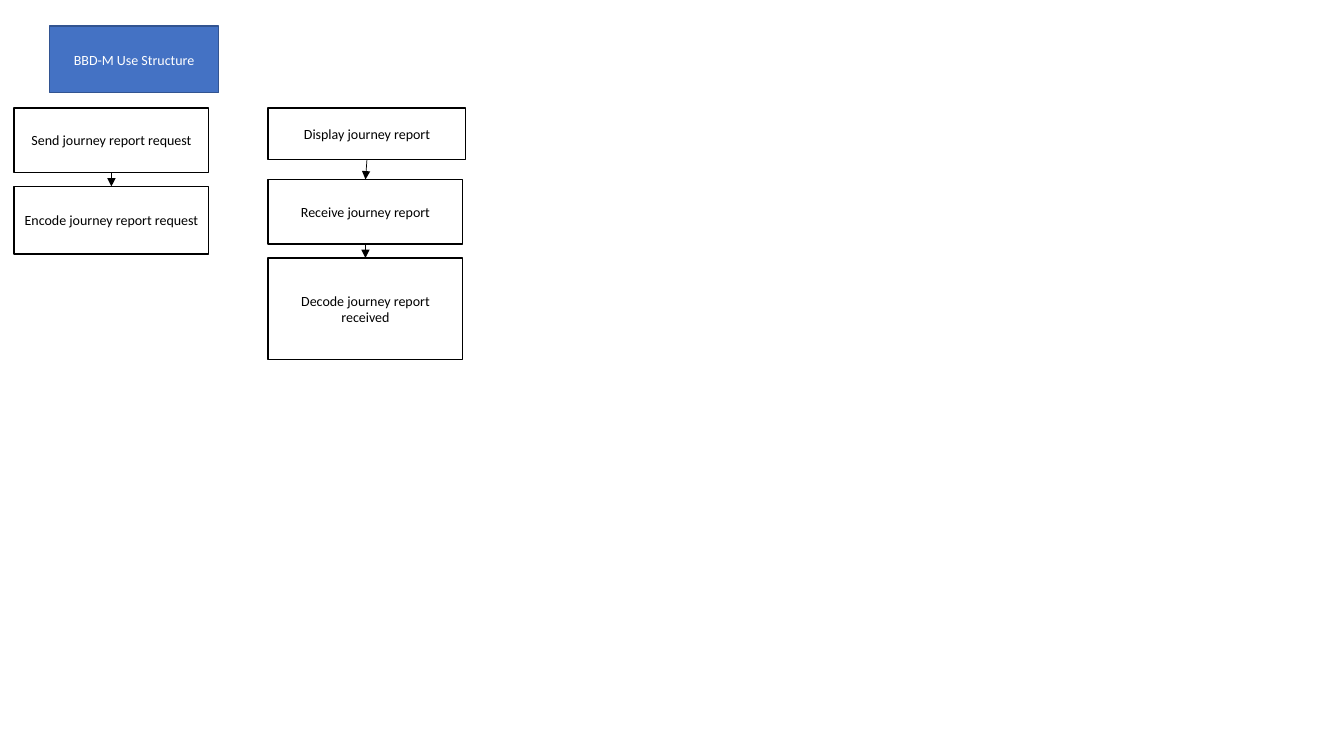
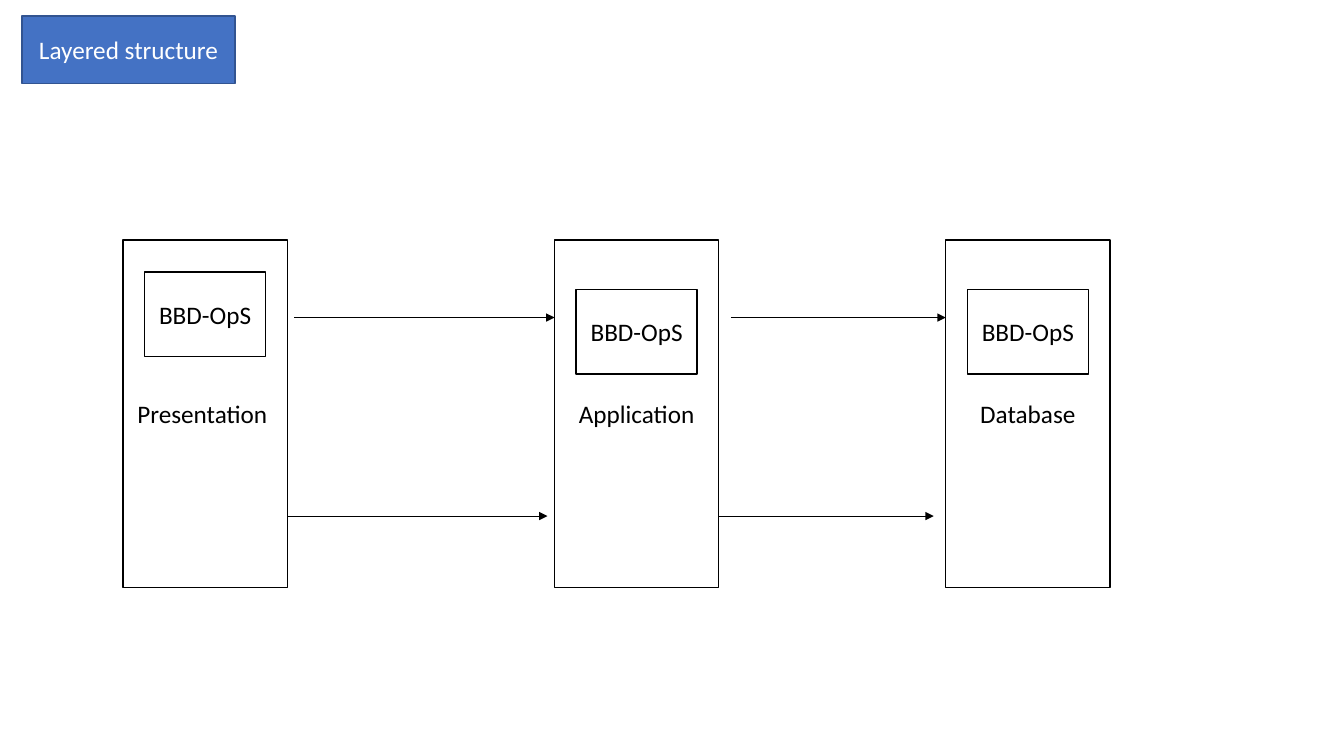
from dataclasses import dataclass
from lxml.etree import SubElement
from pptx import Presentation
from pptx.dml.color import RGBColor as RGB
from pptx.enum.shapes import MSO_CONNECTOR as LINE, MSO_SHAPE as SHAPE
from pptx.enum.text import MSO_ANCHOR as ANCHOR, PP_ALIGN as ALIGN
from pptx.oxml.ns import qn
from pptx.util import Inches, Pt


@dataclass(frozen=True)
class Theme:
    """Colours, font and sizes shared by both slides."""
    font: str = "Calibri"
    small: int = 10
    large: int = 18
    border: float = 1
    arrow: float = 0.5
    # each style is fill, line, text
    title: tuple = ("4472C4", "325491", "FFFFFF")
    plain: tuple = ("FFFFFF", "000000", "000000")


T = Theme()


def box(s, text, left, top, width, height, size, style=T.plain):
    """Draw a bordered rectangle with centred text."""
    sp = s.shapes.add_shape(SHAPE.RECTANGLE, *map(Inches, (left, top, width, height)))
    fill, line, ink = map(RGB.from_string, style)
    sp.shadow.inherit = False
    sp.fill.solid()
    sp.fill.fore_color.rgb = fill
    sp.line.color.rgb = line
    sp.line.width = Pt(T.border)
    tf = sp.text_frame
    frame = {"word_wrap": True, "vertical_anchor": ANCHOR.MIDDLE,
             "margin_left": Inches(0.08), "margin_right": Inches(0.08)}
    for name, value in frame.items():
        setattr(tf, name, value)
    p = tf.paragraphs[0]
    p.alignment = ALIGN.CENTER
    r = p.add_run()
    r.text = text
    for name, value in {"name": T.font, "size": Pt(size)}.items():
        setattr(r.font, name, value)
    r.font.color.rgb = ink


def arrow(s, x1, y1, x2, y2):
    """Draw a thin straight arrow pointing at (x2, y2)."""
    c = s.shapes.add_connector(LINE.STRAIGHT, *map(Inches, (x1, y1, x2, y2)))
    c.line.color.rgb = RGB.from_string(T.plain[1])
    c.line.width = Pt(T.arrow)
    SubElement(c.line._get_or_add_ln(), qn("a:tailEnd"), type="triangle")
    SubElement(c._element.spPr, qn("a:effectLst"))


prs = Presentation()
prs.slide_width, prs.slide_height = Inches(13.33), Inches(7.5)
blank = prs.slide_layouts[6]

# Use structure: each column is a stack of steps joined by arrows
s = prs.slides.add_slide(blank)
box(s, "BBD-M Use Structure", 0.49, 0.26, 1.68, 0.66, T.small, T.title)
step_w, stack_top, gap = 1.93, 1.07, 0.14
# step: text, width, height, gap below
stacks = {
    0.14: [("Send journey report request", step_w, 0.64, gap),
           ("Encode journey report request", step_w, 0.67, 0)],
    2.66: [("Display journey report", 1.96, 0.51, 0.2),
           ("Receive journey report", step_w, 0.64, gap),
           ("Decode journey report received", step_w, 1.01, 0)],
}
for left, steps in stacks.items():
    top = stack_top
    for text, width, height, below in steps:
        box(s, text, left, top, width, height, T.small)
        bottom = top + height
        top = bottom + below
        if below:
            arrow(s, left + width / 2, bottom, left + step_w / 2, top)

# Layered structure: three tall layers, each holding one service
s = prs.slides.add_slide(blank)
box(s, "Layered structure", 0.22, 0.16, 2.11, 0.67, T.large, T.title)
layer_w, layer_h, layer_top = 1.63, 3.45, 2.38
service_w, service_h = 1.2, 0.84
# layer: text, left, top of its service
layers = [("Presentation ", 1.22, 2.7), ("Application", 5.5, 2.87), ("Database", 9.38, 2.87)]
for text, left, service_top in layers:
    box(s, text, left, layer_top, layer_w, layer_h, T.large)
    box(s, "BBD-OpS", left + (layer_w - service_w) / 2, service_top,
        service_w, service_h, T.large)

# The upper arrow touches the next layer, the lower one leaves the previous layer
upper_y, lower_y = 3.15, 5.12
for (_, left, _), (_, end, _), space in zip(layers, layers[1:], (0.07, 0.12)):
    start = left + layer_w
    arrow(s, start + space, upper_y, end, upper_y)
    arrow(s, start, lower_y, end - space, lower_y)

prs.save("out.pptx")
